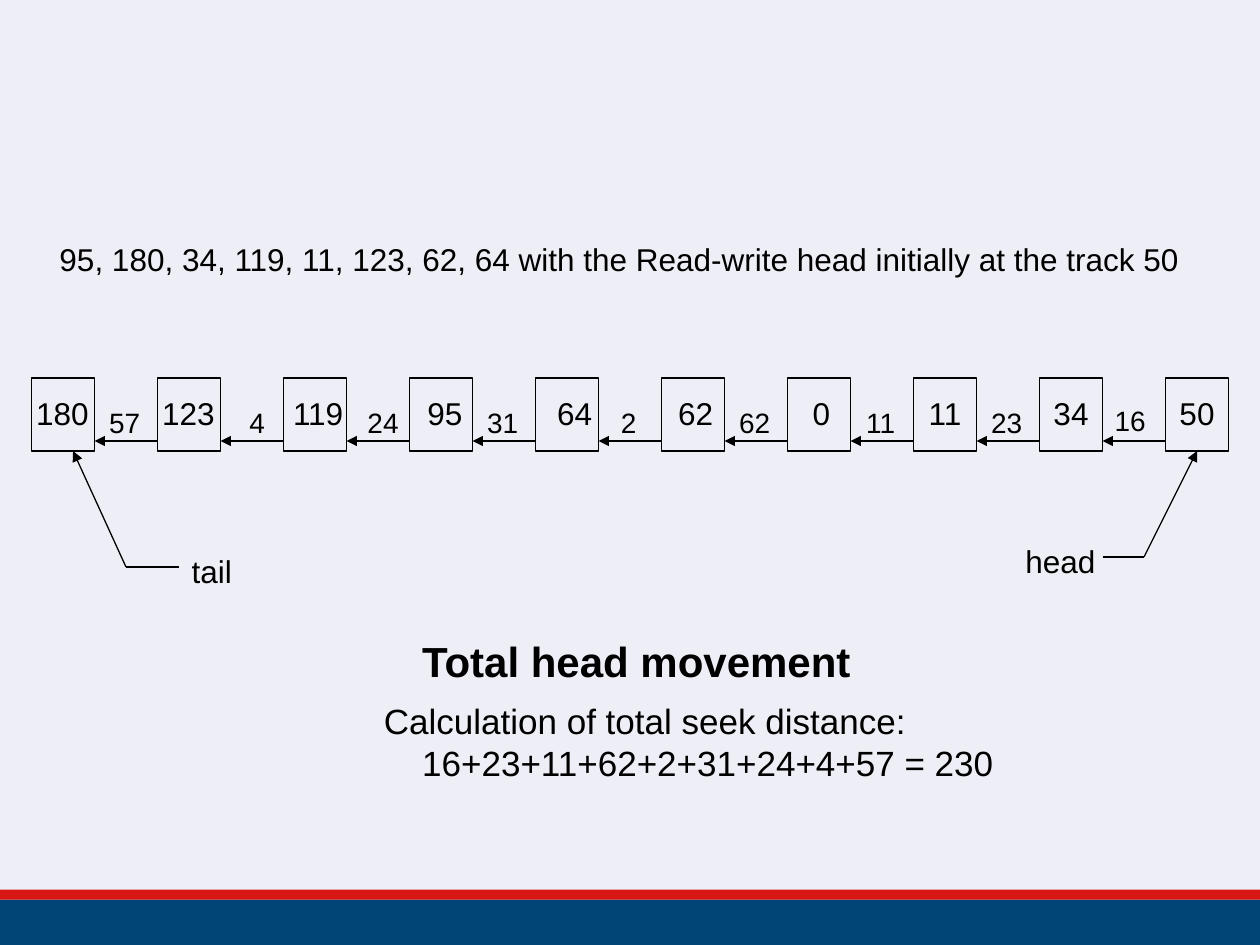
"""Build the disk scheduling slide with its track chain and total seek distance."""
from lxml import etree
from pptx import Presentation
from pptx import util as u
from pptx.dml.color import RGBColor
from pptx.enum import shapes, text
from pptx.oxml.ns import qn

Inches = u.Inches
rgb = RGBColor.from_string


def set_text(sp, lines, size=18, bold=False, wrap=False, tab=None):
    tf = sp.text_frame
    tf.word_wrap = wrap
    tf.auto_size = text.MSO_AUTO_SIZE.NONE
    tf.vertical_anchor = text.MSO_ANCHOR.TOP
    for i, line in enumerate(lines.split("\n")):
        p = tf.paragraphs[0] if i == 0 else tf.add_paragraph()
        p.alignment = text.PP_ALIGN.CENTER
        if tab:
            tabs = etree.SubElement(p._p.get_or_add_pPr(), qn("a:tabLst"))
            etree.SubElement(tabs, qn("a:tab"), pos=str(Inches(tab)), algn="l")
        r = p.add_run()
        r.text = line
        r.font.name = "Arial"
        r.font.size = u.Pt(size)
        r.font.bold = bold
        r.font.color.rgb = rgb("000000")


def add_line(x1, y1, x2, y2, arrow=True):
    cx = s.shapes.add_connector(shapes.MSO_CONNECTOR.STRAIGHT,
                                Inches(x1), Inches(y1), Inches(x2), Inches(y2))
    cx.line.color.rgb = rgb("000000")
    cx.line.width = u.Pt(0.75)
    if arrow:
        etree.SubElement(cx.line._get_or_add_ln(), qn("a:tailEnd"), type="triangle")
    etree.SubElement(cx._element.spPr, qn("a:effectLst"))
    return cx


prs = Presentation()
prs.slide_width, prs.slide_height = Inches(10), Inches(7.5)
s = prs.slides.add_slide(prs.slide_layouts[5])
s.background.fill.solid()
s.background.fill.fore_color.rgb = rgb("EEEEF6")

for top, height, color in [(7.14, 0.36, "014476"), (7.06, 0.08, "D81714")]:
    bar = s.shapes.add_shape(shapes.MSO_SHAPE.RECTANGLE, 0, Inches(top), Inches(10), Inches(height))
    bar.shadow.inherit = False
    bar.fill.solid()
    bar.fill.fore_color.rgb = rgb(color)
    bar.line.fill.background()

title = s.shapes.title
title.left, title.top, title.width, title.height = map(Inches, (3.24, 4.99, 3.62, 0.5))
set_text(title, "Total head movement", size=24, bold=True)

tracks = [("180", 0.19, 0.61), ("123", 1.19, 0.61), ("119", 2.22, 0.61), ("95", 3.29, 0.48),
          ("64", 4.32, 0.48), ("62", 5.28, 0.48), ("0", 6.35, 0.34), ("11", 7.26, 0.48),
          ("34", 8.26, 0.48), ("50", 9.26, 0.48)]
for i, (track, left, width) in enumerate(tracks):
    group = s.shapes.add_group_shape()
    box = group.shapes.add_shape(shapes.MSO_SHAPE.RECTANGLE,
                                 Inches(0.25 + i), Inches(3), Inches(0.5), Inches(0.58))
    box.shadow.inherit = False
    box.fill.background()
    box.line.color.rgb = rgb("000000")
    box.line.width = u.Pt(0.75)
    label = group.shapes.add_textbox(Inches(left), Inches(3.08), Inches(width), Inches(0.4))
    set_text(label, track)

seeks = [("57", 0.77, 3.17), ("4", 1.88, 3.17), ("24", 2.82, 3.17), ("31", 3.77, 3.17),
         ("2", 4.83, 3.17), ("62", 5.77, 3.17), ("11", 6.77, 3.17), ("23", 7.77, 3.17),
         ("16", 8.75, 3.15)]
for i, (seek, left, top) in enumerate(seeks):
    add_line(1.25 + i, 3.5, 0.75 + i, 3.5)
    width = 0.44 if len(seek) == 2 else 0.32
    label = s.shapes.add_textbox(Inches(left), Inches(top), Inches(width), Inches(0.37))
    set_text(label, seek, size=16)

add_line(8.75, 4.42, 9.08, 4.42, arrow=False)
add_line(9.08, 4.42, 9.5, 3.58).end_connect(box, 2)
add_line(1.42, 4.5, 1, 4.5, arrow=False)
add_line(1, 4.5, 0.58, 3.58)

notes = [("head", (8.04, 4.25, 0.75, 0.4), {}),
         ("tail", (1.42, 4.33, 0.52, 0.4), {}),
         ("95, 180, 34, 119, 11, 123, 62, 64 with the Read-write head initially at the track 50",
          (0.35, 1.86, 9.13, 0.4), {"wrap": True}),
         ("Calculation of total seek distance:\n\t16+23+11+62+2+31+24+4+57 = 230",
          (2.24, 5.5, 5.76, 0.77), {"size": 20, "tab": 1})]
for words, place, style in notes:
    set_text(s.shapes.add_textbox(*map(Inches, place)), words, **style)

prs.save("out.pptx")
